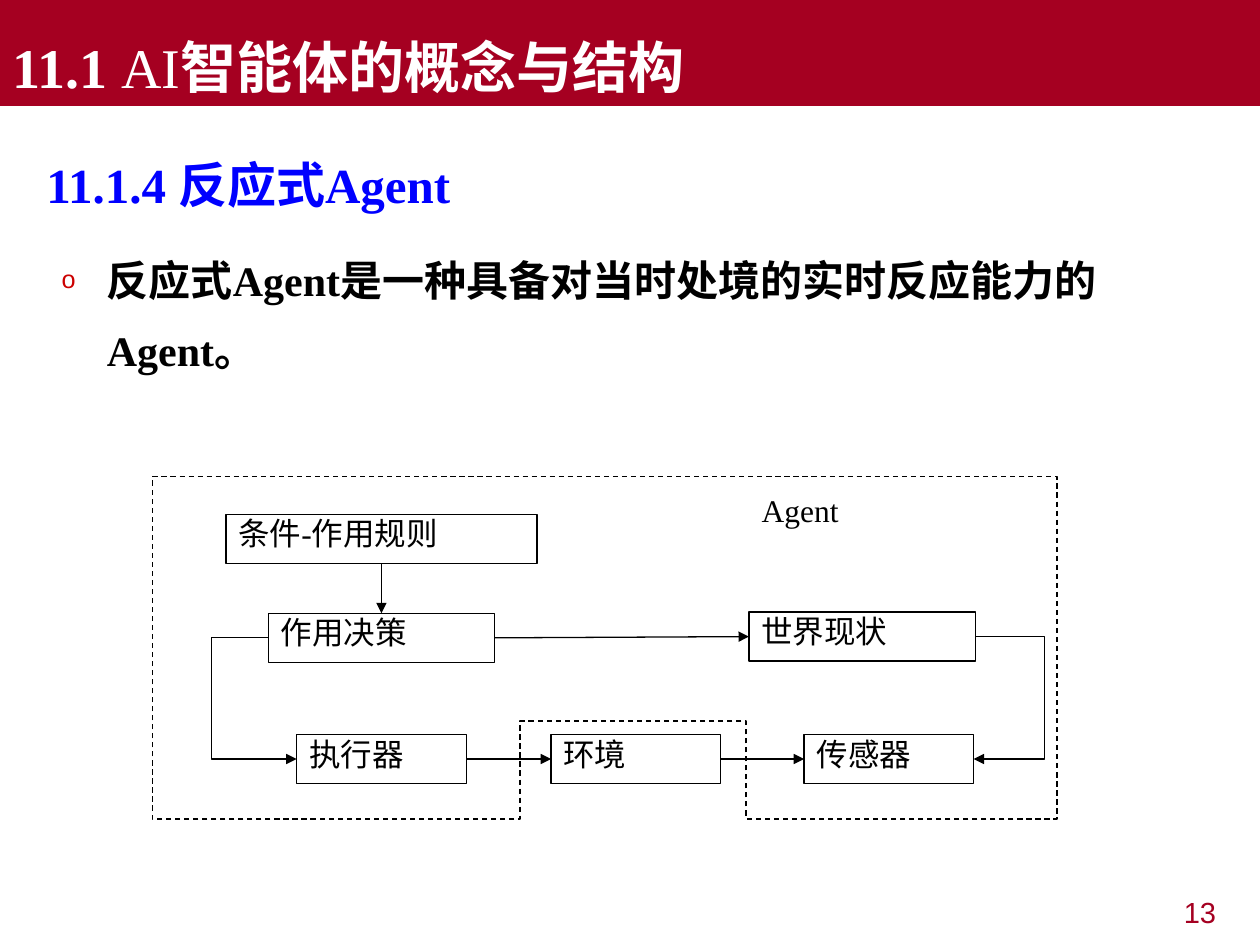
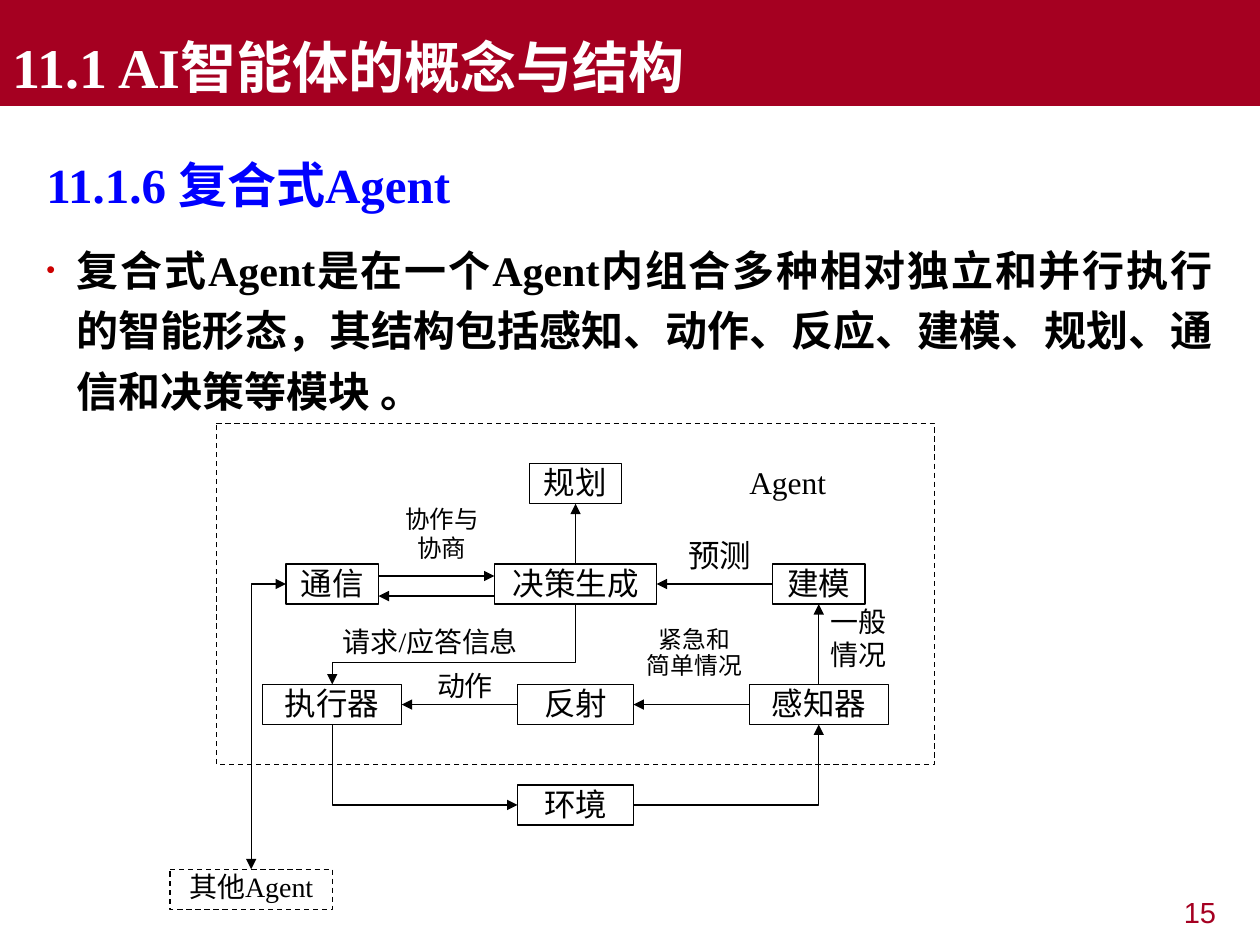
import dataclasses
import typing

import lxml.etree
import pptx
import pptx.dml.color
import pptx.enum.dml
import pptx.enum.shapes
import pptx.enum.text
import pptx.oxml.ns
import pptx.util

CRIMSON = pptx.dml.color.RGBColor(0xA5, 0x00, 0x21)
BULLET_RED = pptx.dml.color.RGBColor(0xCC, 0x00, 0x00)
BLUE = pptx.dml.color.RGBColor(0x00, 0x00, 0xFF)
BLACK = pptx.dml.color.RGBColor(0x00, 0x00, 0x00)
WHITE = pptx.dml.color.RGBColor(0xFF, 0xFF, 0xFF)
SERIF = "Times New Roman"
SANS = "Arial"
LINE_WIDTH = pptx.util.Pt(0.75)

ALIGN = pptx.enum.text.PP_ALIGN
SHAPE = pptx.enum.shapes.MSO_SHAPE
CONNECTOR = pptx.enum.shapes.MSO_CONNECTOR
TOP, LEFT, BOTTOM, RIGHT = range(4)

Point = tuple[float, float]


@dataclasses.dataclass(frozen=True)
class Grid:
    left: float
    top: float
    width: float
    height: float
    columns: int
    rows: int

    def x(self, column: float) -> int:
        return pptx.util.Inches(self.left + column * self.width / self.columns)

    def y(self, row: float) -> int:
        return pptx.util.Inches(self.top + row * self.height / self.rows)

    def area(self, column: float, row: float, columns: float, rows: float) -> tuple[int, int, int, int]:
        left, top = self.x(column), self.y(row)
        return left, top, self.x(column + columns) - left, self.y(row + rows) - top


@dataclasses.dataclass(frozen=True)
class Box:
    text: str
    column: float
    row: float
    columns: float
    rows: float = 2
    size: float = 18
    dashed: bool = False


@dataclasses.dataclass(frozen=True)
class Label:
    text: str
    column: float
    row: float
    columns: float = 4
    rows: float = 2
    size: float = 18
    align: ALIGN = ALIGN.CENTER
    spacing: float = 1.0


@dataclasses.dataclass(frozen=True)
class Link:
    source: str
    source_site: int
    target: str
    target_site: int
    corner: bool = False
    bend_column: typing.Optional[float] = None
    bend_row: typing.Optional[float] = None
    ends: tuple[str, ...] = ("tailEnd",)


@dataclasses.dataclass(frozen=True)
class Diagram:
    grid: Grid
    boxes: list[Box]
    labels: list[Label]
    links: list[Link]
    arrows: list[tuple[Point, Point]]
    frame: list[Point]
    box_align: ALIGN


@dataclasses.dataclass(frozen=True)
class Page:
    number: int
    title: list[tuple[str, bool]]
    heading: str
    body: str
    bullet: str
    margin: float
    indent: float
    spacing: float
    align: ALIGN
    diagram: Diagram


SLIDE_GRID = Grid(0, 0, 10, 7.5, 100, 75)

REACTIVE = Diagram(
    grid=Grid(1.21, 3.78, 7.18, 2.72, 32, 14),
    boxes=[
        Box("传感器", 23.05, 10.55, 6),
        Box("环境", 14.1, 10.55, 6),
        Box("执行器", 5.1, 10.55, 6),
        Box("条件-作用规则", 2.6, 1.55, 11),
        Box("作用决策", 4.1, 5.6, 8),
        Box("世界现状", 21.1, 5.55, 8),
    ],
    labels=[Label("Agent", 21.55, 0.6, 4.5, 3, align=ALIGN.LEFT)],
    links=[
        Link("作用决策", LEFT, "执行器", LEFT, bend_column=2.1),
        Link("执行器", RIGHT, "环境", LEFT),
        Link("环境", RIGHT, "传感器", LEFT),
        Link("作用决策", RIGHT, "世界现状", LEFT),
        Link("世界现状", RIGHT, "传感器", RIGHT, bend_column=31.6),
        Link("条件-作用规则", BOTTOM, "作用决策", TOP),
    ],
    arrows=[],
    frame=[(0, 0), (32, 0), (32, 14), (21, 14), (21, 10), (13, 10), (13, 14), (0, 14)],
    box_align=ALIGN.JUSTIFY,
)

COMPOSITE = Diagram(
    grid=Grid(1.35, 3.36, 5.7, 2.71, 31, 17),
    boxes=[
        Box("规划", 15.5, 2, 4),
        Box("建模", 26, 7, 4),
        Box("决策生成", 14, 7, 7),
        Box("通信", 5, 7, 4),
        Box("感知器", 25, 13, 6),
        Box("反射", 15, 13, 5),
        Box("执行器", 4, 13, 6),
        Box("环境", 15, 18, 5),
        Box("其他Agent", 0, 22.2, 7, size=16, dashed=True),
    ],
    labels=[
        Label("Agent", 25, 2, align=ALIGN.LEFT),
        Label("协作与协商", 10, 4, rows=4, size=14),
        Label("预测", 22, 5.6),
        Label("请求/应答信息", 7, 10, 9, size=16),
        Label("一般\n情况", 28, 9, rows=4, size=16),
        Label("动作", 11, 12.2, size=16),
        Label("紧急和\n简单情况", 20.4, 10.2, 5, 4, size=13.6, spacing=0.9),
    ],
    links=[
        Link("建模", LEFT, "决策生成", RIGHT),
        Link("决策生成", TOP, "规划", BOTTOM),
        Link("决策生成", BOTTOM, "执行器", TOP, bend_row=11.9),
        Link("感知器", TOP, "建模", BOTTOM),
        Link("感知器", LEFT, "反射", RIGHT),
        Link("反射", LEFT, "执行器", RIGHT),
        Link("环境", LEFT, "执行器", BOTTOM, corner=True, ends=("headEnd",)),
        Link("环境", RIGHT, "感知器", BOTTOM, corner=True),
        Link("通信", LEFT, "其他Agent", TOP, corner=True, ends=("headEnd", "tailEnd")),
    ],
    arrows=[((9, 7.6), (14, 7.6)), ((14, 8.6), (9, 8.6))],
    frame=[(2, 0), (33, 0), (33, 17), (2, 17)],
    box_align=ALIGN.CENTER,
)

PAGES = [
    Page(13, [("11.1 ", True), ("AI", False), ("智能体的概念与结构", True)],
         "11.1.4 反应式Agent", "反应式Agent是一种具备对当时处境的实时反应能力的Agent。",
         "o", 0.48, 0.36, 1.4, ALIGN.LEFT, REACTIVE),
    Page(15, [("11.1 AI智能体的概念与结构", True)],
         "11.1.6 复合式Agent",
         "复合式Agent是在一个Agent内组合多种相对独立和并行执行的智能形态，其结构包括感知、动作、反应、建模、规划、通信和决策等模块 。",
         "•", 0.24, 0.24, 1.2, ALIGN.JUSTIFY, COMPOSITE),
]


def add_element(parent, tag: str, **attributes: str):
    return lxml.etree.SubElement(parent, pptx.oxml.ns.qn(tag), **attributes)


def style_font(font, size: float, color, name: str = SERIF, bold: bool = False) -> None:
    font.size = pptx.util.Pt(size)
    font.color.rgb = color
    font.name = name
    font.bold = bold


def style_line(line, dashed: bool = False) -> None:
    line.color.rgb = BLACK
    line.width = LINE_WIDTH
    if dashed:
        line.dash_style = pptx.enum.dml.MSO_LINE.DASH


def write_text(shape, text: str, size: float, align, color=BLACK, name: str = SERIF,
               spacing: float = 1.0) -> None:
    shape.text_frame.word_wrap = True
    shape.text_frame.text = text
    for paragraph in shape.text_frame.paragraphs:
        paragraph.alignment = align
        paragraph.line_spacing = spacing
        style_font(paragraph.runs[0].font, size, color, name)


def set_insets(shape, left: float) -> None:
    frame = shape.text_frame
    frame.vertical_anchor = pptx.enum.text.MSO_ANCHOR.TOP
    frame.margin_left, frame.margin_right = pptx.util.Inches(left), pptx.util.Inches(0.1)
    frame.margin_top = frame.margin_bottom = 0


def draw_title(slide, page: Page) -> None:
    band = slide.shapes.add_shape(SHAPE.RECTANGLE, *SLIDE_GRID.area(0, 0, 100, 8.4))
    band.shadow.inherit = False
    band.fill.solid()
    band.fill.fore_color.rgb = CRIMSON
    band.line.fill.background()
    band.text_frame.word_wrap = True
    band.text_frame.vertical_anchor = pptx.enum.text.MSO_ANCHOR.BOTTOM
    paragraph = band.text_frame.paragraphs[0]
    paragraph.alignment = ALIGN.LEFT
    for text, bold in page.title:
        run = paragraph.add_run()
        run.text = text
        style_font(run.font, 32, WHITE, bold=bold)


def draw_body(slide, page: Page) -> None:
    body = slide.shapes.add_textbox(*SLIDE_GRID.area(2.7, 9.9, 94.5, 59.1))
    body.text_frame.word_wrap = True
    body.text_frame.text = f"{page.heading}\n{page.body}"
    heading, statement = body.text_frame.paragraphs
    heading.line_spacing, heading.space_before = 1.4, pptx.util.Pt(14)
    style_font(heading.runs[0].font, 28, BLUE, bold=True)
    statement.alignment = page.align
    statement.line_spacing, statement.space_before = page.spacing, pptx.util.Pt(12)
    style_font(statement.runs[0].font, 24, BLACK, bold=True)
    properties = statement.runs[0].font._element.getparent().getparent().get_or_add_pPr()
    properties.set("marL", str(pptx.util.Inches(page.margin)))
    properties.set("indent", str(-pptx.util.Inches(page.indent)))
    add_element(add_element(properties, "a:buClr"), "a:srgbClr", val=str(BULLET_RED))
    add_element(properties, "a:buSzPct", val="60000")
    add_element(properties, "a:buFont", typeface=SANS)
    add_element(properties, "a:buChar", char=page.bullet)


def draw_box(slide, grid: Grid, box: Box, align):
    shape = slide.shapes.add_shape(SHAPE.FLOWCHART_PROCESS,
                                   *grid.area(box.column, box.row, box.columns, box.rows))
    shape.shadow.inherit = False
    shape.fill.solid()
    shape.fill.fore_color.rgb = WHITE
    style_line(shape.line, box.dashed)
    set_insets(shape, 0.1)
    write_text(shape, box.text, box.size, align)
    return shape


def draw_label(slide, grid: Grid, label: Label) -> None:
    shape = slide.shapes.add_textbox(*grid.area(label.column, label.row, label.columns, label.rows))
    set_insets(shape, 0)
    write_text(shape, label.text, label.size, label.align, spacing=label.spacing)


def finish_connector(connector, ends: tuple[str, ...]) -> None:
    style_line(connector.line)
    properties = connector.element.spPr
    outline = properties.find(pptx.oxml.ns.qn("a:ln"))
    for end in ends:
        add_element(outline, f"a:{end}", type="triangle")
    add_element(properties, "a:effectLst")


def draw_arrow(slide, grid: Grid, start: Point, end: Point) -> None:
    connector = slide.shapes.add_connector(CONNECTOR.STRAIGHT, grid.x(start[0]), grid.y(start[1]),
                                           grid.x(end[0]), grid.y(end[1]))
    finish_connector(connector, ("tailEnd",))


def turn_downward(connector) -> None:
    left, top, width, height = connector.left, connector.top, connector.width, connector.height
    connector.left, connector.top = left + (width - height) // 2, top + (height - width) // 2
    connector.width, connector.height = height, width
    transform = connector.element.spPr.find(pptx.oxml.ns.qn("a:xfrm"))
    transform.set("rot", "5400000")
    transform.set("flipH", "0")


def draw_link(slide, grid: Grid, link: Link, shapes: dict) -> None:
    bent = link.bend_column is not None or link.bend_row is not None
    kind = CONNECTOR.ELBOW if bent or link.corner else CONNECTOR.STRAIGHT
    connector = slide.shapes.add_connector(kind, 0, 0, 0, 0)
    connector.begin_connect(shapes[link.source], link.source_site)
    connector.end_connect(shapes[link.target], link.target_site)
    geometry = connector.element.spPr.find(pptx.oxml.ns.qn("a:prstGeom"))
    if link.corner:
        geometry.set("prst", "bentConnector2")
    if bent:
        if link.bend_row is not None:
            start, end, bend = connector.begin_y, connector.end_y, grid.y(link.bend_row)
            turn_downward(connector)
        else:
            start, end, bend = connector.begin_x, connector.end_x, grid.x(link.bend_column)
        share = round(100000 * (bend - start) / (end - start))
        guides = geometry.find(pptx.oxml.ns.qn("a:avLst"))
        add_element(guides, "a:gd", name="adj1", fmla=f"val {share}")
    finish_connector(connector, link.ends)


def draw_frame(slide, grid: Grid, corners: list[Point]) -> None:
    points = [(grid.x(column), grid.y(row)) for column, row in corners]
    builder = slide.shapes.build_freeform(*points[0])
    builder.add_line_segments(points[1:], close=True)
    frame = builder.convert_to_shape()
    frame.shadow.inherit = False
    frame.fill.background()
    style_line(frame.line, dashed=True)


def draw_diagram(slide, diagram: Diagram) -> None:
    grid = diagram.grid
    shapes = {box.text: draw_box(slide, grid, box, diagram.box_align) for box in diagram.boxes}
    for link in diagram.links:
        draw_link(slide, grid, link, shapes)
    for start, end in diagram.arrows:
        draw_arrow(slide, grid, start, end)
    for label in diagram.labels:
        draw_label(slide, grid, label)
    draw_frame(slide, grid, diagram.frame)


def main() -> None:
    presentation = pptx.Presentation()
    presentation.slide_width = pptx.util.Inches(SLIDE_GRID.width)
    presentation.slide_height = pptx.util.Inches(SLIDE_GRID.height)
    for page in PAGES:
        slide = presentation.slides.add_slide(presentation.slide_layouts[6])
        number = slide.shapes.add_textbox(*SLIDE_GRID.area(75.8, 70.8, 21.7, 3.9))
        write_text(number, str(page.number), 16.6, ALIGN.RIGHT, CRIMSON, SANS, 0.9)
        draw_body(slide, page)
        draw_title(slide, page)
        draw_diagram(slide, page.diagram)
    presentation.save("out.pptx")


if __name__ == "__main__":
    main()
